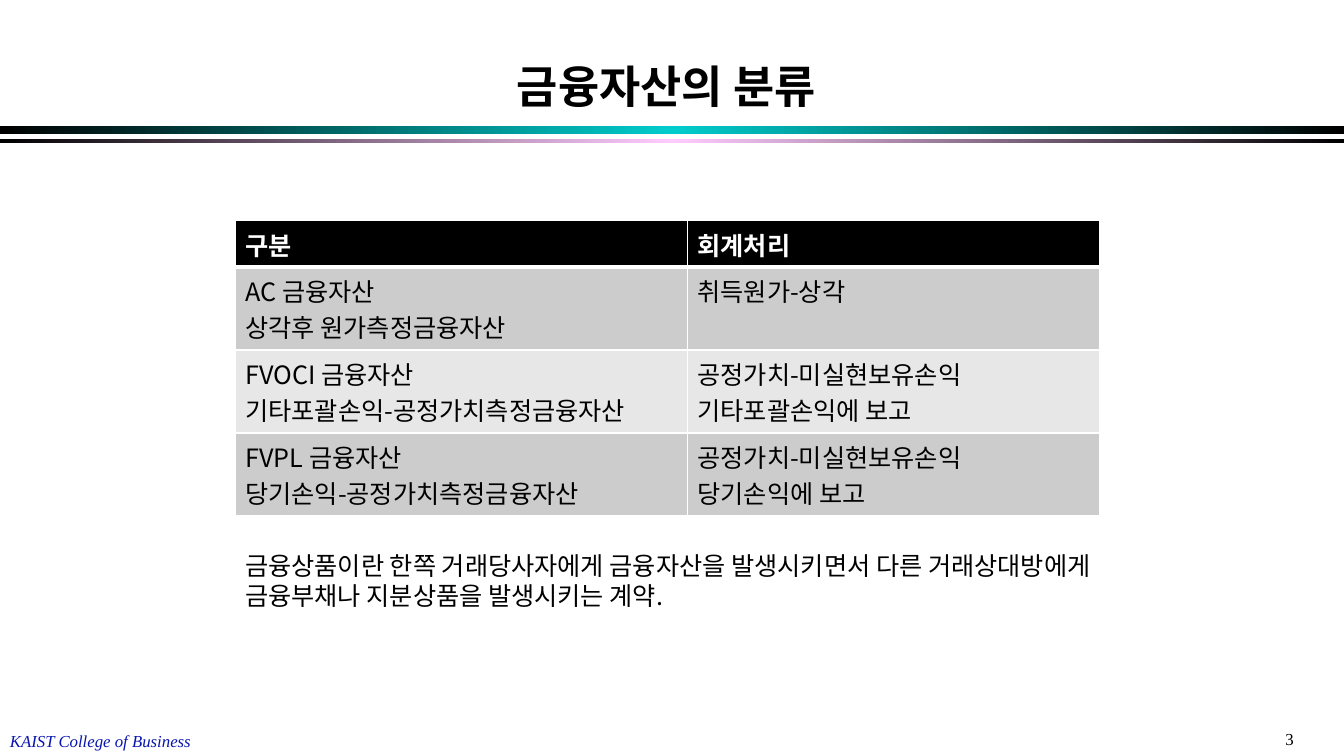
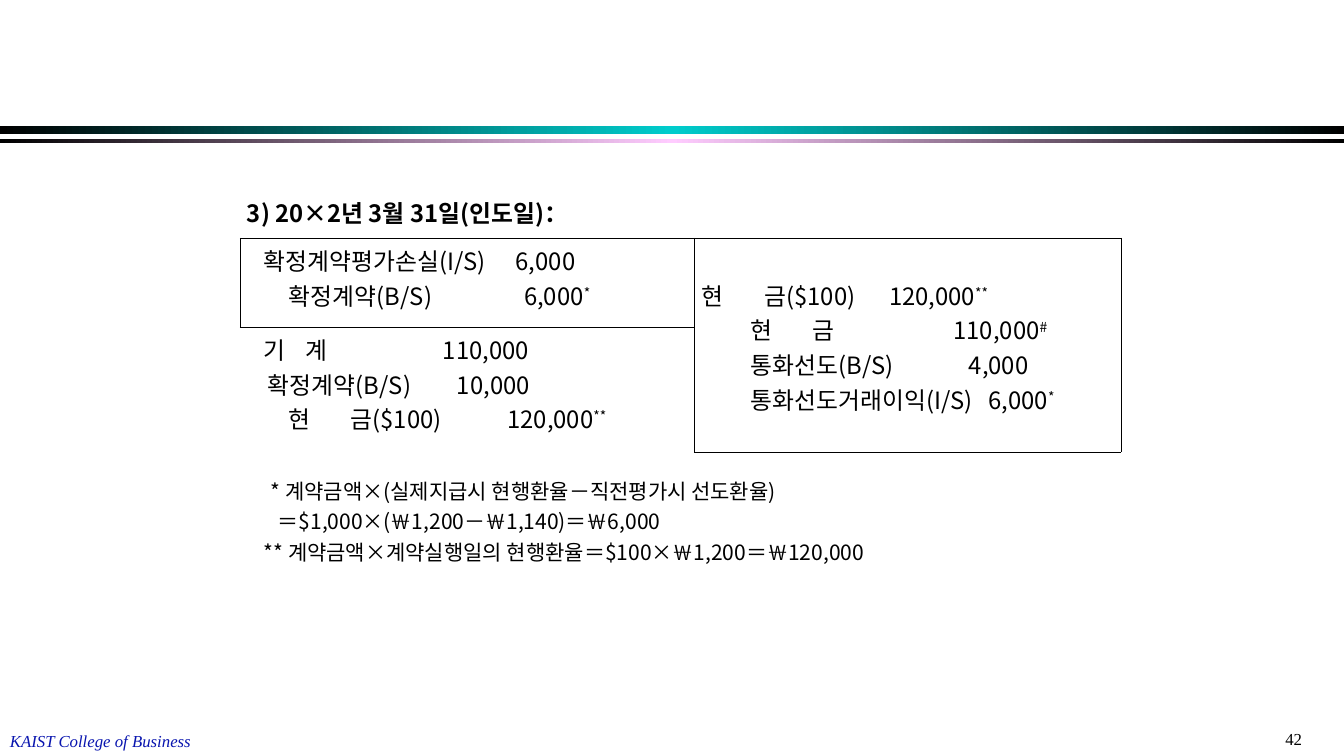
import copy

from lxml import etree
from pptx import Presentation
from pptx.dml.color import RGBColor
from pptx.enum import shapes, text
from pptx.oxml.ns import qn
from pptx.util import Pt

BLACK = RGBColor(0x00, 0x00, 0x00)
WHITE = RGBColor(0xFF, 0xFF, 0xFF)
TEAL = RGBColor(0x00, 0xCC, 0xCC)
PINK = RGBColor(0xFF, 0xCC, 0xFF)
NAVY = RGBColor(0x09, 0x15, 0xAF)
GREY = RGBColor(0xCC, 0xCC, 0xCC)
LIGHT_GREY = RGBColor(0xE7, 0xE7, 0xE7)

KOREAN = "Noto Sans CJK KR"
SERIF = "Times New Roman"
SLIDE_WIDTH, SLIDE_HEIGHT = 960, 540
PLAIN_TABLE = "{2D5ABB26-0587-4C30-8999-92F81FD0307C}"
BORDER_ORDER = ("lnL", "lnR", "lnT", "lnB")

CLASSIFICATION = [
    (["구분"], ["회계처리"]),
    (["AC 금융자산", "상각후 원가측정금융자산"], ["취득원가-상각"]),
    (["FVOCI 금융자산", "기타포괄손익-공정가치측정금융자산"],
     ["공정가치-미실현보유손익", "기타포괄손익에 보고"]),
    (["FVPL 금융자산", "당기손익-공정가치측정금융자산"],
     ["공정가치-미실현보유손익", "당기손익에 보고"]),
]
DEFINITION = ["금융상품이란 한쪽 거래당사자에게 금융자산을 발생시키면서 다른 거래상대방에게",
              "금융부채나 지분상품을 발생시키는 계약."]

# Journal lines: (tab position, text) pairs; "^" starts a superscript mark
DELIVERY_DATE = ["3) 20×2년 3월 31일(인도일)："]
COMMITMENT_LOSS = [
    [(12, "확정계약평가손실(I/S)"), (192, "6,000")],
    [(30, "확정계약(B/S)"), (198, "6,000^*")],
]
MACHINE_PURCHASE = [
    [(12, "기"), (42, "계"), (140, "110,000")],
    [(15, "확정계약(B/S)"), (150, "10,000")],
    [(30, "현"), (74, "금($100)"), (186, "120,000^**")],
]
FORWARD_SETTLEMENT = [
    [(0, "현"), (45, "금($100)"), (134, "120,000^**")],
    [(35, "현"), (79, "금"), (180, "110,000^#")],
    [(35, "통화선도(B/S)"), (191, "4,000")],
    [(35, "통화선도거래이익(I/S)"), (205, "6,000^*")],
]
FOOTNOTES = [
    [(17, "* 계약금액×(실제지급시 현행환율－직전평가시 선도환율)")],
    [(22, "＝$1,000×(￦1,200－￦1,140)＝￦6,000")],
    [(12, "** 계약금액×계약실행일의 현행환율＝$100×￦1,200＝￦120,000")],
]


# Text
def add_run(paragraph, words, size, font, color, bold, italic, raised=False):
    run = paragraph.add_run()
    run.text = words
    run.font.size = Pt(size)
    run.font.bold = bold
    run.font.italic = italic
    run.font.color.rgb = color
    run.font.name = font
    properties = run._r.get_or_add_rPr()
    east_asian = etree.Element(qn("a:ea"), typeface=font)
    properties.find(qn("a:latin")).addnext(east_asian)
    if raised:
        properties.set("baseline", "30000")


def set_tabs(paragraph, positions):
    tabs = etree.SubElement(paragraph._p.get_or_add_pPr(), qn("a:tabLst"))
    for position in positions:
        etree.SubElement(tabs, qn("a:tab"), pos=str(Pt(position)), algn="l")


def write_text(frame, lines, size=18, font=KOREAN, color=BLACK, bold=False,
               italic=False, align=text.PP_ALIGN.LEFT, spacing=None):
    for number, line in enumerate(lines):
        paragraph = frame.paragraphs[0] if number == 0 else frame.add_paragraph()
        paragraph.alignment = align
        if spacing:
            paragraph.line_spacing = Pt(spacing)
        pieces = [(0, line)] if isinstance(line, str) else line
        stops = [position for position, _ in pieces if position]
        if stops:
            set_tabs(paragraph, stops)
        for position, words in pieces:
            base, _, mark = words.partition("^")
            lead = "\t" if position else ""
            add_run(paragraph, lead + base, size, font, color, bold, italic)
            if mark:
                add_run(paragraph, mark, size, font, color, bold, italic, True)


def add_label(slide, left, top, width, height, lines,
              anchor=text.MSO_ANCHOR.TOP, **style):
    box = slide.shapes.add_textbox(Pt(left), Pt(top), Pt(width), Pt(height))
    box.text_frame.word_wrap = True
    box.text_frame.vertical_anchor = anchor
    write_text(box.text_frame, lines, **style)


# Parts shared by the slides
def add_band(slide, top, height, middle):
    band = slide.shapes.add_shape(shapes.MSO_SHAPE.RECTANGLE, 0, Pt(top),
                                  Pt(SLIDE_WIDTH), Pt(height))
    band.shadow.inherit = False
    band.line.fill.background()
    band.fill.gradient()
    band.fill.gradient_angle = 0
    last_stop = band._element.spPr.find(qn("a:gradFill")).find(qn("a:gsLst"))[-1]
    last_stop.addnext(copy.deepcopy(last_stop))
    colors = (BLACK, middle, BLACK)
    for stop, color, position in zip(band.fill.gradient_stops, colors, (0, 0.5, 1)):
        stop.color.rgb = color
        stop.position = position


def add_frame(deck, number, title=None):
    slide = deck.slides.add_slide(deck.slide_layouts[6])
    add_band(slide, 90, 6, TEAL)
    add_band(slide, 99.5, 3, PINK)
    add_label(slide, 911, 517, 56, 21.6, [number], size=12, font=SERIF)
    add_label(slide, 0, 518.4, 160, 21.6, ["KAIST College of Business"],
              size=12, font=SERIF, color=NAVY, italic=True)
    if title:
        add_label(slide, 64, 18, 824, 66, [title], size=32, bold=True,
                  align=text.PP_ALIGN.CENTER, anchor=text.MSO_ANCHOR.BOTTOM)
    return slide


# Tables
def add_grid(slide, left, top, widths, heights):
    grid = slide.shapes.add_table(len(heights), len(widths), Pt(left), Pt(top),
                                  Pt(sum(widths)), Pt(sum(heights))).table
    grid._tbl.tblPr.find(qn("a:tableStyleId")).text = PLAIN_TABLE
    for column, width in zip(grid.columns, widths):
        column.width = Pt(width)
    for row, height in zip(grid.rows, heights):
        row.height = Pt(height)
    return grid


def fill_cell(cell, color):
    cell.fill.solid()
    cell.fill.fore_color.rgb = color


def set_borders(cell, color, **widths):
    properties = cell._tc.get_or_add_tcPr()
    sides = [side for side in BORDER_ORDER if side in widths]
    for place, side in enumerate(sides):
        line = etree.Element(qn("a:" + side), w=str(Pt(widths[side])))
        solid = etree.SubElement(line, qn("a:solidFill"))
        etree.SubElement(solid, qn("a:srgbClr"), val=str(color))
        properties.insert(place, line)


def add_classification(slide):
    grid = add_grid(slide, 168, 157.7, (323, 294.5), (33, 59.3, 59.3, 59.3))
    fills = (BLACK, GREY, LIGHT_GREY, GREY)
    for row, (entries, fill) in enumerate(zip(CLASSIFICATION, fills)):
        heading = row == 0
        for column, lines in enumerate(entries):
            cell = grid.cell(row, column)
            fill_cell(cell, fill)
            set_borders(cell, WHITE, lnL=1, lnR=1, lnT=3 if row == 1 else 1,
                        lnB=3 if heading else 1)
            write_text(cell.text_frame, lines, bold=heading,
                       color=WHITE if heading else BLACK)


def add_journal(slide):
    grid = add_grid(slide, 171.4, 132.5, (324.7, 304.6), (37.5, 63.4, 89.3, 98.6))
    for cell in grid.iter_cells():
        fill_cell(cell, WHITE)
        cell.margin_left = cell.margin_right = Pt(5)
    grid.cell(0, 0).merge(grid.cell(0, 1))
    grid.cell(1, 1).merge(grid.cell(2, 1))
    grid.cell(3, 0).merge(grid.cell(3, 1))

    # T-account rules
    hairline = 0.25
    set_borders(grid.cell(1, 0), BLACK, lnL=hairline, lnR=hairline, lnT=hairline)
    set_borders(grid.cell(1, 1), BLACK, lnL=hairline, lnR=hairline, lnT=hairline)
    set_borders(grid.cell(2, 1), BLACK, lnL=hairline, lnR=hairline)

    # The right-hand entry starts one line lower
    grid.cell(1, 1).margin_top = Pt(28.3)
    for row in (0, 3):
        grid.cell(row, 0).vertical_anchor = text.MSO_ANCHOR.MIDDLE
    entries = (
        (0, 0, DELIVERY_DATE, 17),
        (1, 0, COMMITMENT_LOSS, 17),
        (2, 0, MACHINE_PURCHASE, 17),
        (1, 1, FORWARD_SETTLEMENT, 17),
        (3, 0, FOOTNOTES, 15),
    )
    for row, column, lines, size in entries:
        write_text(grid.cell(row, column).text_frame, lines, size=size,
                   bold=lines is DELIVERY_DATE)


def main():
    deck = Presentation()
    deck.slide_width, deck.slide_height = Pt(SLIDE_WIDTH), Pt(SLIDE_HEIGHT)

    # Classification of financial assets
    assets = add_frame(deck, "3", "금융자산의 분류")
    add_classification(assets)
    add_label(assets, 168, 388.8, 687, 51, DEFINITION, spacing=22)

    # Journal entries on the delivery date
    delivery = add_frame(deck, "42")
    add_journal(delivery)

    deck.save("out.pptx")


if __name__ == "__main__":
    main()
